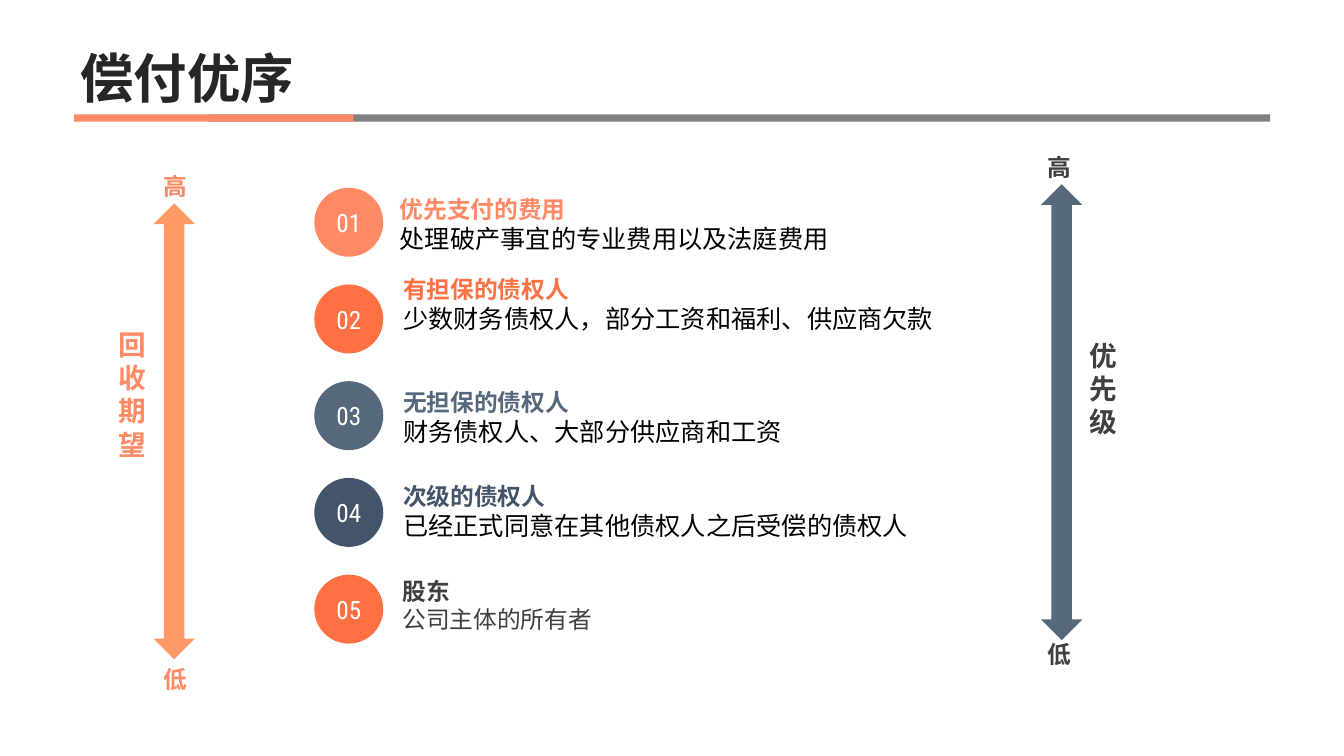
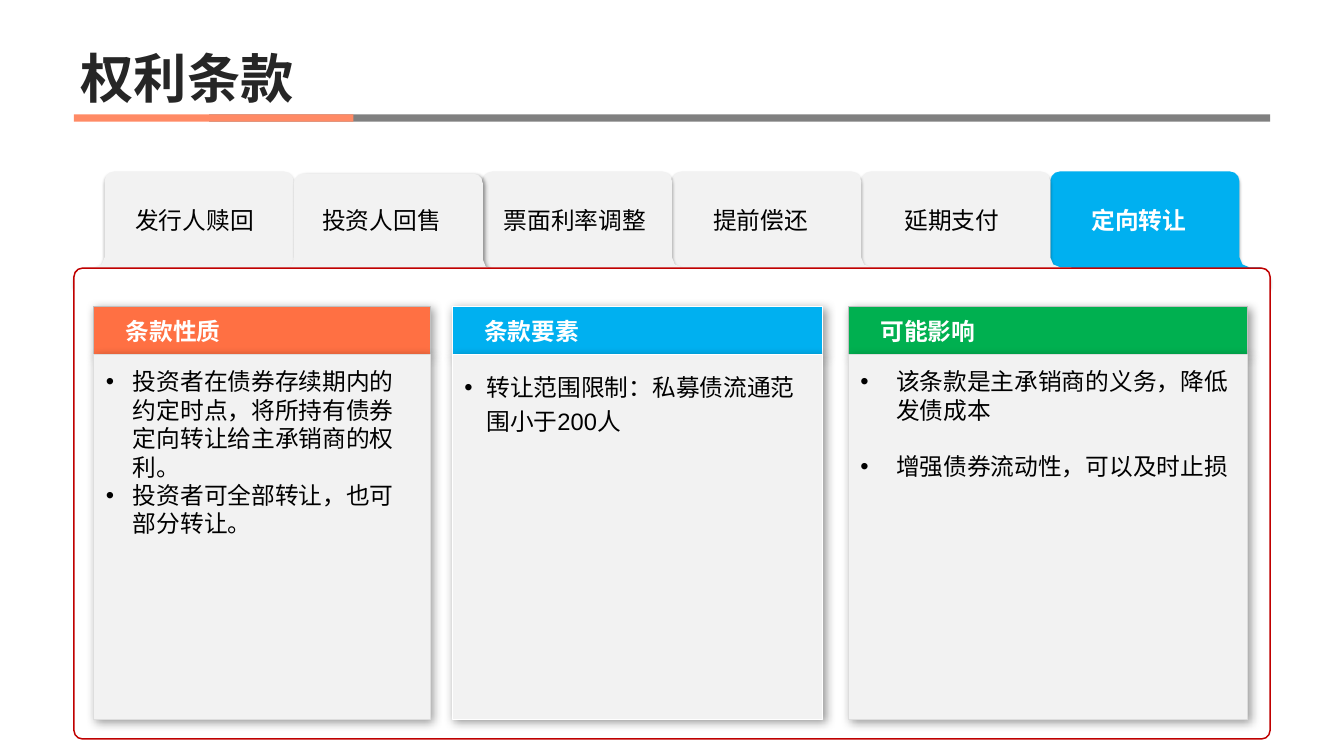
import math

import lxml.etree
import pptx
import pptx.dml.color
import pptx.enum.lang
import pptx.enum.shapes
import pptx.enum.text
import pptx.oxml.ns
import pptx.util

Inches = pptx.util.Inches
Pt = pptx.util.Pt
SHAPE = pptx.enum.shapes.MSO_SHAPE
ALIGN = pptx.enum.text.PP_ALIGN
ANCHOR = pptx.enum.text.MSO_ANCHOR

COLORS = {
    "white": "FFFFFF", "black": "000000", "title": "262626", "text": "404040",
    "band": "808080", "coral": "FF8A65", "orange": "FF7043", "peach": "FF9966",
    "slate": "56687C", "navy": "44546A", "blue": "00B0F0", "green": "00B050",
    "panel": "F2F2F2", "red": "C00000", "silver": "C0C0C0", "pale": "DDDDDD",
}
TITLE_LAYOUT = 5
DEFAULT_INSETS = (0.1, 0.05, 0.1, 0.05)
NO_INSETS = (0, 0, 0, 0)
SOFT_SHADOW = {"alpha": 32, "blur": 3.5, "distance": 2.2, "angle": 90}
TAB_SHADOW = {"alpha": 40, "blur": 4, "distance": 3, "angle": 45}
CARD_SHADOW = {"alpha": 40, "blur": 10, "distance": 3, "angle": 45}


def rgb(name):
    return pptx.dml.color.RGBColor.from_string(COLORS[name])


def add_element(parent, tag, **attributes):
    return lxml.etree.SubElement(parent, pptx.oxml.ns.qn(tag), attributes)


def style(shape, fill, line=None, weight=1, shadow=None):
    shape.fill.solid()
    shape.fill.fore_color.rgb = rgb(fill)
    if line:
        shape.line.color.rgb = rgb(line)
        shape.line.width = Pt(weight)
    else:
        shape.line.fill.background()
    shape.shadow.inherit = False
    if shadow:
        effects = shape.element.spPr.find(pptx.oxml.ns.qn("a:effectLst"))
        outer = add_element(effects, "a:outerShdw", blurRad=str(Pt(shadow["blur"])),
                            dist=str(Pt(shadow["distance"])),
                            dir=str(shadow["angle"] * 60000), algn="ctr", rotWithShape="0")
        tint = add_element(outer, "a:srgbClr", val=COLORS["black"])
        add_element(tint, "a:alpha", val=str(shadow["alpha"] * 1000))
    return shape


def draw(slide, kind, left, top, width, height, fill, **look):
    shape = slide.shapes.add_shape(kind, Inches(left), Inches(top), Inches(width), Inches(height))
    return style(shape, fill, **look)


def set_frame(shape, anchor=ANCHOR.TOP, insets=DEFAULT_INSETS):
    frame = shape.text_frame
    frame.word_wrap = True
    frame.auto_size = pptx.enum.text.MSO_AUTO_SIZE.NONE
    frame.vertical_anchor = anchor
    frame.margin_left, frame.margin_top, frame.margin_right, frame.margin_bottom = map(Inches, insets)
    return frame


def text_box(slide, left, top, width, height, **layout):
    box = slide.shapes.add_textbox(Inches(left), Inches(top), Inches(width), Inches(height))
    return set_frame(box, **layout)


def write(frame, text, size=24, color="black", bold=False, font="Arial", align=ALIGN.LEFT,
          spacing=None, before=0, indent=0):
    paragraph = frame.paragraphs[0]
    if paragraph.runs:
        paragraph = frame.add_paragraph()
    paragraph.alignment = align
    paragraph.space_before = Pt(before)
    if spacing:
        paragraph.line_spacing = spacing
    if indent:
        properties = paragraph._p.get_or_add_pPr()
        properties.set("marL", str(Inches(indent)))
        properties.set("indent", str(-Inches(indent)))
        add_element(properties, "a:buFont", typeface="Arial")
        add_element(properties, "a:buChar", char="•")
    run = paragraph.add_run()
    run.text = text
    run.font.name = font
    run.font.size = Pt(size)
    run.font.bold = bold
    run.font.color.rgb = rgb(color)
    run.font.language_id = pptx.enum.lang.MSO_LANGUAGE_ID.SIMPLIFIED_CHINESE


def share_bands(slide):
    layout_shapes = slide.slide_layout.shapes
    for left, width, fill in ((2.94, 14.92, "band"), (1.04, 3.93, "coral")):
        band = draw(slide, SHAPE.RECTANGLE, left, 1.61, width, 0.1, fill)
        free_id = max(shape.shape_id for shape in layout_shapes) + 1
        band.element.nvSpPr.cNvPr.set("id", str(free_id))
        layout_shapes.element.append(band.element)


def titled_slide(deck, heading):
    slide = deck.slides.add_slide(deck.slide_layouts[TITLE_LAYOUT])
    title = slide.shapes.title
    title.left, title.top = Inches(1.04), Inches(0)
    title.width, title.height = Inches(16.82), Inches(1.59)
    write(set_frame(title, anchor=ANCHOR.BOTTOM, insets=(0.09, 0.05, 0.1, 0.05)), heading,
          size=54, color="title", bold=True, spacing=0.9)
    return slide


def draw_scale(slide, left, top, fill, color, caption, caption_box, label_shift, low_gap):
    width, height, label_width, label_height = 0.58, 6.41, 0.9, 0.54
    draw(slide, SHAPE.UP_DOWN_ARROW, left, top, width, height, fill)
    label_left = left + (width - label_width) / 2 + label_shift
    for label, bottom in (("高", top - 0.04), ("低", top + height + low_gap)):
        frame = text_box(slide, label_left, bottom - label_height, label_width, label_height,
                         anchor=ANCHOR.BOTTOM, insets=NO_INSETS)
        write(frame, label, color=color, bold=True, align=ALIGN.CENTER)
    offset_x, offset_y, caption_width, caption_height = caption_box
    frame = text_box(slide, left + offset_x, top + offset_y, caption_width, caption_height)
    write(frame, caption, size=28, color=color, bold=True)


def draw_ranking(slide, left, top, ranks):
    diameter, pitch, text_height = 0.97, 1.36, 1.0
    for index, (fill, color, creditor, detail, detail_look, shift, text_bottom) in enumerate(ranks):
        badge = draw(slide, SHAPE.OVAL, left, top + index * pitch, diameter, diameter, fill)
        write(set_frame(badge, anchor=ANCHOR.MIDDLE, insets=NO_INSETS), f"{index + 1:02d}",
              size=25.5, color="white", font="Roboto Condensed", align=ALIGN.CENTER)
        frame = text_box(slide, left + 1.25 + shift, top + text_bottom - text_height, 8.9,
                         text_height, anchor=ANCHOR.BOTTOM, insets=NO_INSETS)
        write(frame, creditor, color=color, bold=True)
        write(frame, detail, **detail_look)


def arc(x, y, radius, start, end, steps):
    angles = [math.radians(start + (end - start) * step / steps) for step in range(steps + 1)]
    return [(x + radius * math.cos(angle), y + radius * math.sin(angle)) for angle in angles]


def draw_tab(slide, left, top, fill, shadow):
    width, height, radius, flare = 3.52, 1.63, 0.14, 0.43
    foot = height - 2 * radius
    left_half = (
        [(0, height)]
        + arc(radius, foot + radius, radius, 180, 270, 1)
        + arc(flare - radius, foot - radius, radius, 90, 0, 2)
        + arc(flare + radius, radius, radius, 180, 270, 3)
    )
    right_half = [(width - x, y) for x, y in reversed(left_half)]
    outline = [(Inches(left + x), Inches(top + y)) for x, y in left_half + right_half]
    builder = slide.shapes.build_freeform(*outline[0])
    builder.add_line_segments(outline[1:], close=True)
    style(builder.convert_to_shape(), fill, shadow=shadow)


def draw_tab_row(slide, left, top, labels, active, raised):
    pitch = 2.66
    back_to_front = [i for i in reversed(range(len(labels))) if i != raised] + [raised]
    for index in back_to_front:
        draw_tab(slide, left + index * pitch, top + (0.03 if index == raised else 0),
                 "blue" if index == active else "panel",
                 TAB_SHADOW if index == raised else SOFT_SHADOW)
    for index, (label, shift) in enumerate(labels):
        frame = text_box(slide, left + 0.46 + index * pitch + shift, top, 2.47, 1.36,
                         anchor=ANCHOR.MIDDLE)
        write(frame, label, color="white" if index == active else "black",
              bold=index == active, align=ALIGN.CENTER)


def draw_panel(slide, left, top, width, height):
    panel = draw(slide, SHAPE.ROUNDED_RECTANGLE, left, top, width, height, "white",
                 line="red", weight=1.5)
    panel.adjustments[0] = 0.018


def draw_card(slide, left, top, width, heading, fill, borders, points, gap=0, **point_look):
    header_height, body_height = 0.68, 5.12
    header = draw(slide, SHAPE.RECTANGLE, left, top, width, header_height, fill,
                  line=borders[0], shadow=CARD_SHADOW)
    write(set_frame(header, anchor=ANCHOR.MIDDLE, insets=(0.45, 0, 0, 0)), heading,
          color="white", bold=True, font="Calibri")
    body = draw(slide, SHAPE.RECTANGLE, left, top + header_height, width, body_height, "panel",
                line=borders[1], shadow=CARD_SHADOW)
    frame = set_frame(body, insets=(0.17, 0.17, 0.22, 0.11))
    for index, point in enumerate(points):
        write(frame, point, before=gap if index else 0, **point_look)


def build_priority_slide(deck):
    slide = titled_slide(deck, "偿付优序")
    share_bands(slide)
    draw_scale(slide, 2.16, 2.86, "peach", "coral", "回收期望",
               (-0.59, 1.7, 0.49, 1.99), 0.01, 0.48)
    draw_scale(slide, 14.64, 2.59, "slate", "text", "优先级",
               (0.58, 2.12, 0.58, 1.51), -0.03, 0.39)
    plain = {"size": 25.5}
    draw_ranking(slide, 4.42, 2.64, [
        ("coral", "coral", "优先支付的费用", "处理破产事宜的专业费用以及法庭费用", plain, -0.05, 0.93),
        ("orange", "orange", "有担保的债权人", "少数财务债权人，部分工资和福利、供应商欠款", plain, 0, 2.05),
        ("slate", "slate", "无担保的债权人", "财务债权人、大部分供应商和工资", plain, 0, 3.64),
        ("navy", "navy", "次级的债权人", "已经正式同意在其他债权人之后受偿的债权人", plain, 0, 4.96),
        ("orange", "text", "股东", "公司主体的所有者", {"color": "text"}, -0.01, 6.27),
    ])


def build_terms_slide(deck):
    slide = titled_slide(deck, "权利条款")
    left, top = 1.04, 3.77
    tabs = [("发行人赎回", 0), ("投资人回售", -0.03), ("票面利率调整", 0.03),
            ("提前偿还", -0.02), ("延期支付", 0.01), ("定向转让", -0.02)]
    draw_tab_row(slide, left, 2.41, tabs, active=5, raised=1)
    draw_panel(slide, left, top, 16.82, 6.62)
    card_top = top + 0.54
    draw_card(slide, left + 10.89, card_top, 5.62, "可能影响", "green", ("silver", "pale"),
              ["该条款是主承销商的义务，降低发债成本", "增强债券流动性，可以及时止损"],
              indent=0.5, gap=28.5)
    draw_card(slide, left + 0.28, card_top, 4.73, "条款性质", "orange", ("silver", "pale"),
              ["投资者在债券存续期内的约定时点，将所持有债券定向转让给主承销商的权利。",
               "投资者可全部转让，也可部分转让。"], indent=0.38)
    draw_card(slide, left + 5.32, card_top, 5.21, "条款要素", "blue", ("white", "white"),
              ["转让范围限制：私募债流通范围小于200人"], indent=0.31, spacing=1.2)


def main():
    deck = pptx.Presentation()
    deck.slide_width, deck.slide_height = Inches(18.9), Inches(10.63)
    build_priority_slide(deck)
    build_terms_slide(deck)
    deck.save("out.pptx")


if __name__ == "__main__":
    main()
